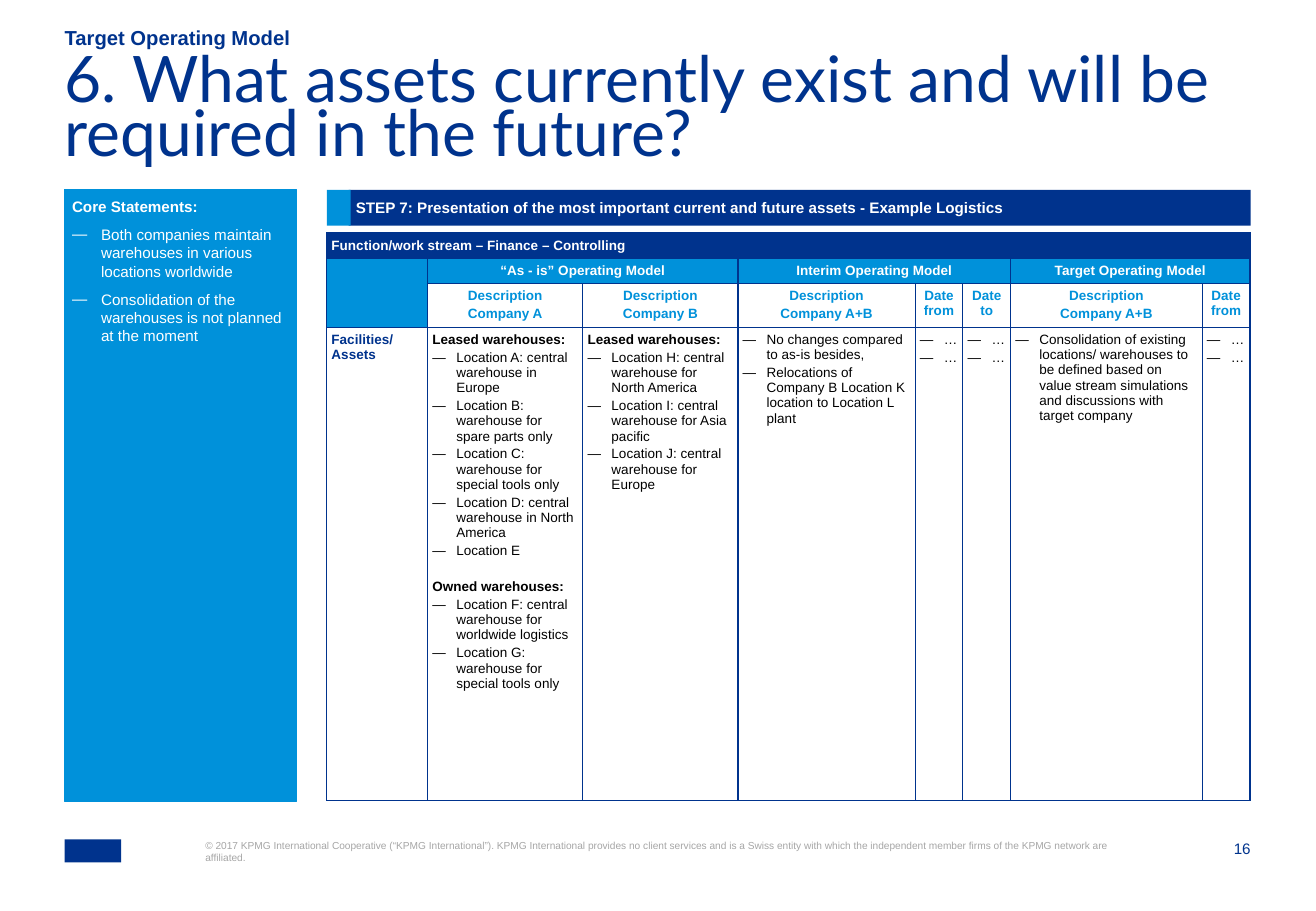
"""Build the slide on current and future assets of the operating model."""
from lxml.etree import SubElement
from pptx import Presentation
from pptx.dml.color import RGBColor
from pptx.enum.shapes import MSO_SHAPE
from pptx.enum.text import MSO_ANCHOR, MSO_AUTO_SIZE, PP_ALIGN
from pptx.oxml.ns import qn
from pptx.util import Pt

NAVY = RGBColor(0x00, 0x33, 0x8D)
BLUE = RGBColor(0x00, 0x91, 0xDA)
WHITE = RGBColor(0xFF, 0xFF, 0xFF)
BLACK = RGBColor(0x00, 0x00, 0x00)
GREY = RGBColor(0xA6, 0xA6, 0xA6)

LEFT, RIGHT = 38.3, 741.3
TABLE_LEFT, TABLE_TOP = 193.7, 137.9
COLUMN_WIDTHS = [59.8, 92, 92, 105, 28.3, 28.3, 113.6, 28.3]
ROW_HEIGHTS = [15.2, 15, 26, 280.2]
CELL_INSET, CELL_INDENT, CELL_GAP = 2.8, 14.2, 1.6
GROUP_GAP = 12.4

CORE_STATEMENTS = [
    "Both companies maintain warehouses in various locations worldwide",
    "Consolidation of the warehouses is not planned at the moment",
]
MODELS = [
    (1, 2, "“As - is” Operating Model"),
    (3, 5, "Interim Operating Model"),
    (6, 7, "Target Operating Model"),
]
COLUMN_HEADS = [
    ["Description", "Company A"],
    ["Description", "Company B"],
    ["Description", "Company A+B"],
    ["Date from"],
    ["Date\nto"],
    ["Description", "Company A+B"],
    ["Date from"],
]
DATES = [("", ["…", "…"])]
ASSETS = [
    [
        ("Leased warehouses:", [
            "Location A: central warehouse in Europe",
            "Location B: warehouse for spare parts only",
            "Location C: warehouse for special tools only",
            "Location D: central warehouse in North America",
            "Location E",
        ]),
        ("Owned warehouses:", [
            "Location F: central warehouse for worldwide logistics",
            "Location G: warehouse for special tools only",
        ]),
    ],
    [("Leased warehouses:", [
        "Location H: central warehouse for North America",
        "Location I: central warehouse for Asia pacific",
        "Location J: central warehouse for Europe",
    ])],
    [("", [
        "No changes compared to as-is besides,",
        "Relocations of Company B Location K location to Location L plant",
    ])],
    DATES,
    DATES,
    [("", [
        "Consolidation of existing locations/ warehouses to be defined based on "
        "value stream simulations and discussions with target company",
    ])],
    DATES,
]


def place(shape, left, top, width, height):
    """Move a shape and set its size in points."""
    shape.left, shape.top = Pt(left), Pt(top)
    shape.width, shape.height = Pt(width), Pt(height)


def prepare_frame(frame, inset=0, anchor=MSO_ANCHOR.TOP):
    """Set wrapping, margins and anchor of a text frame."""
    frame.word_wrap = True
    frame.auto_size = MSO_AUTO_SIZE.NONE
    frame.vertical_anchor = anchor
    frame.margin_left = frame.margin_right = Pt(inset)
    frame.margin_top = frame.margin_bottom = Pt(inset)


def add_paragraph(frame, text, size, color, bold=False, align=PP_ALIGN.LEFT,
                  before=0, after=0, indent=0, level=0, name="Arial"):
    """Write one paragraph, with a dash bullet when it has an indent."""
    is_first = not frame.text
    paragraph = frame.paragraphs[0] if is_first else frame.add_paragraph()
    paragraph.text = text
    paragraph.alignment = align
    paragraph.level = level
    paragraph.space_before = Pt(0 if is_first else before)
    paragraph.space_after = Pt(after)
    properties = paragraph._p.get_or_add_pPr()
    properties.set("marL", str(Pt(indent)))
    properties.set("indent", str(-Pt(indent)))
    if indent:
        bullet_color = SubElement(properties, qn("a:buClr"))
        SubElement(bullet_color, qn("a:srgbClr"), val=str(color))
        SubElement(properties, qn("a:buFont"), typeface="Arial")
        SubElement(properties, qn("a:buChar"), char="—")
    else:
        SubElement(properties, qn("a:buNone"))
    font = paragraph.font
    font.name, font.size, font.bold = name, Pt(size), bold
    font.color.rgb = color
    return paragraph


def add_rectangle(slide, left, top, width, height, color):
    """Add a plain filled rectangle."""
    shape = slide.shapes.add_shape(
        MSO_SHAPE.RECTANGLE, Pt(left), Pt(top), Pt(width), Pt(height))
    shape.shadow.inherit = False
    shape.fill.solid()
    shape.fill.fore_color.rgb = color
    shape.line.fill.background()
    return shape


def add_label(slide, left, top, width, height, text, size, color, align=PP_ALIGN.LEFT):
    """Add a text box with one paragraph."""
    box = slide.shapes.add_textbox(Pt(left), Pt(top), Pt(width), Pt(height))
    prepare_frame(box.text_frame)
    add_paragraph(box.text_frame, text, size, color, align=align)


def fill_placeholders(slide):
    """Fill the title, the core statements and the line above the title."""
    title, statements, topic = slide.placeholders
    place(title, LEFT, 35.3, 702, 57)
    prepare_frame(title.text_frame)
    heading = add_paragraph(
        title.text_frame,
        "6. What assets currently exist and will be required in the future?",
        38, NAVY, name="Lato")
    heading.line_spacing = 0.7

    place(statements, LEFT, 112.3, 137.5, 362.8)
    statements.fill.solid()
    statements.fill.fore_color.rgb = BLUE
    statements.line.color.rgb = BLUE
    statements.line.width = Pt(0.75)
    frame = statements.text_frame
    prepare_frame(frame, 4.4)
    add_paragraph(frame, "Core Statements:", 9, WHITE, bold=True, after=6)
    for statement in CORE_STATEMENTS:
        add_paragraph(frame, statement, 9, WHITE, after=6, indent=17.2, level=1)

    place(topic, LEFT, 15.8, 677, 13.7)
    prepare_frame(topic.text_frame, anchor=MSO_ANCHOR.BOTTOM)
    add_paragraph(topic.text_frame, "Target Operating Model", 12, NAVY, bold=True)


def add_step_bar(slide):
    """Add the step heading with its accent block."""
    bar = add_rectangle(slide, 206.6, 112.6, RIGHT - 206.6, 21.2, NAVY)
    prepare_frame(bar.text_frame, 4.3, MSO_ANCHOR.MIDDLE)
    add_paragraph(
        bar.text_frame,
        "STEP 7: Presentation of the most important current and future assets"
        " - Example Logistics", 9, WHITE, bold=True)
    add_rectangle(slide, TABLE_LEFT, 112.6, 14.2, 21.2, BLUE)


def format_cell(cell, color):
    """Set fill, margins and borders of a table cell."""
    cell.margin_left = cell.margin_right = Pt(CELL_INSET)
    cell.margin_top = cell.margin_bottom = Pt(CELL_INSET)
    properties = cell._tc.get_or_add_tcPr()
    for side in ("a:lnL", "a:lnR", "a:lnT", "a:lnB"):
        border = SubElement(properties, qn(side), w=str(Pt(0.75)))
        border_fill = SubElement(border, qn("a:solidFill"))
        SubElement(border_fill, qn("a:srgbClr"), val=str(NAVY))
    cell.fill.solid()
    cell.fill.fore_color.rgb = color


def write_head(cell, lines, color, align=PP_ALIGN.CENTER):
    """Write the bold lines of a heading cell."""
    for line in lines:
        add_paragraph(cell.text_frame, line, 8, color, True, align, CELL_GAP)


def write_assets(cell, groups):
    """Write groups of bullets, each under its optional heading."""
    for heading, items in groups:
        if heading:
            add_paragraph(cell.text_frame, heading, 8, BLACK, True, before=GROUP_GAP)
        for item in items:
            add_paragraph(cell.text_frame, item, 8, BLACK,
                          before=CELL_GAP, indent=CELL_INDENT)


def add_asset_table(slide):
    """Add the table of assets by operating model."""
    table = slide.shapes.add_table(
        len(ROW_HEIGHTS), len(COLUMN_WIDTHS), Pt(TABLE_LEFT), Pt(TABLE_TOP),
        Pt(sum(COLUMN_WIDTHS)), Pt(sum(ROW_HEIGHTS))).table
    table.first_row = table.horz_banding = False
    for column, width in zip(table.columns, COLUMN_WIDTHS):
        column.width = Pt(width)
    for row, height, color in zip(table.rows, ROW_HEIGHTS, [NAVY, BLUE, WHITE, WHITE]):
        row.height = Pt(height)
        for cell in row.cells:
            format_cell(cell, color)

    table.cell(0, 0).merge(table.cell(0, len(COLUMN_WIDTHS) - 1))
    table.cell(0, 0).vertical_anchor = MSO_ANCHOR.MIDDLE
    write_head(table.cell(0, 0), ["Function/work stream – Finance – Controlling"],
               WHITE, PP_ALIGN.LEFT)
    table.cell(1, 0).merge(table.cell(2, 0))
    for first, last, model in MODELS:
        table.cell(1, first).merge(table.cell(1, last))
        write_head(table.cell(1, first), [model], WHITE)
    write_head(table.cell(3, 0), ["Facilities/\nAssets"], NAVY, PP_ALIGN.LEFT)
    for column, (lines, groups) in enumerate(zip(COLUMN_HEADS, ASSETS), start=1):
        write_head(table.cell(2, column), lines, BLUE)
        write_assets(table.cell(3, column), groups)


def add_footer(slide):
    """Add the emblem block, the copyright line and the page number."""
    add_rectangle(slide, LEFT, 497.5, 33.5, 13.7, NAVY)
    add_label(
        slide, 121.7, 497.5, 539.3, 29.5,
        "© 2017 KPMG International Cooperative (“KPMG International”). KPMG "
        "International provides no client services and is a Swiss entity with which "
        "the independent member firms of the KPMG network are affiliated.", 6, GREY)
    add_label(slide, 710.3, 497.5, 31, 11.5, "16", 9, NAVY, PP_ALIGN.RIGHT)


def main():
    """Build and save the presentation."""
    presentation = Presentation()
    presentation.slide_width, presentation.slide_height = Pt(780), Pt(540)
    slide = presentation.slides.add_slide(presentation.slide_layouts[3])
    fill_placeholders(slide)
    add_step_bar(slide)
    add_asset_table(slide)
    add_footer(slide)
    presentation.save("out.pptx")


if __name__ == "__main__":
    main()
